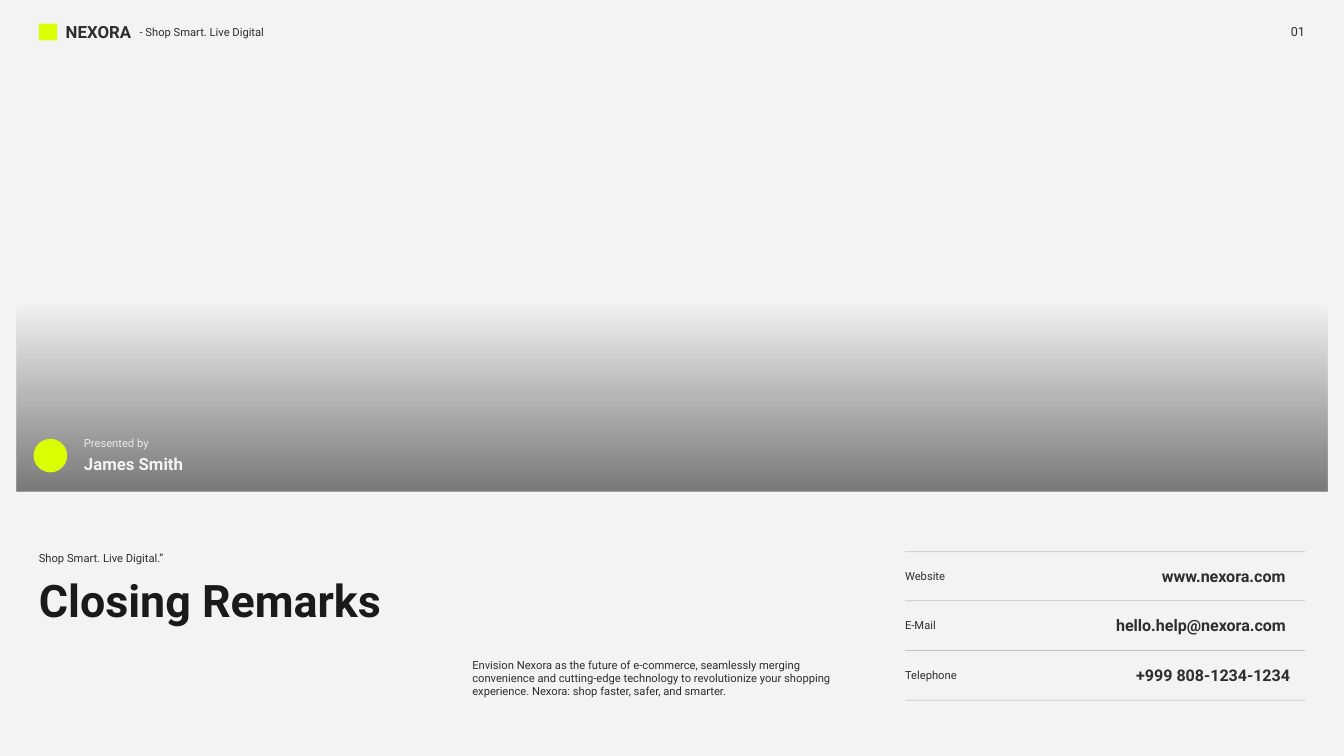
"""Build the closing slide with a presenter band and contact details."""
from lxml.etree import SubElement
from pptx import Presentation
from pptx.dml.color import RGBColor
from pptx.enum.shapes import MSO_CONNECTOR, MSO_SHAPE
from pptx.enum.text import MSO_AUTO_SIZE
from pptx.oxml import parse_xml
from pptx.oxml.ns import nsdecls, qn
from pptx.util import Pt

PX = 9144
FONT = "Roboto"
INK, TITLE, PAPER, MUTED, LIME = "2E2E2E", "1A1A1A", "F3F3F3", "EAEAEA", "D9FF00"

HEADINGS = [
    ("Shop Smart. Live Digital.”", (48, 816, 217, 31), 12, INK, False),
    ("Closing Remarks", (48, 847, 559, 94), 48, TITLE, True),
    ("Presented by", (115, 645, 125, 31), 12, MUTED, False),
    ("James Smith", (115, 670, 171, 41), 18, PAPER, True),
    ("NEXORA", (88, 27, 125, 41), 18, INK, True),
    ("- Shop Smart. Live Digital", (198, 32, 216, 31), 12, INK, False),
    ("01", (1911, 31, 41, 34), 13.5, INK, False),
]
SUMMARY = "\n".join([
    "Envision Nexora as the future of e-commerce, seamlessly merging",
    "convenience and cutting-edge technology to revolutionize your shopping",
    "experience. Nexora: shop faster, safer, and smarter.",
])
CONTACTS = [
    ("Website", 86, "www.nexora.com", 1719, 234),
    ("E-Mail", 70, "hello.help@nexora.com", 1651, 300),
    ("Telephone", 103, "+999 808-1234-1234", 1681, 268),
]
RULE_LEFT, RULE_RIGHT, RULE_TOP, RULE_SPAN = 1347, 1942, 821, 221
SHADE_STOPS = [(0, 50), (50, 25), (100, 0)]


def emu(*lengths):
    return [length * PX for length in lengths]


def color(value):
    return RGBColor.from_string(value)


def add_text(slide, text, box, size, ink, bold=False, wrap=False):
    frame = slide.shapes.add_textbox(*emu(*box)).text_frame
    frame.text = text
    frame.word_wrap = wrap
    frame.auto_size = MSO_AUTO_SIZE.SHAPE_TO_FIT_TEXT
    for paragraph in frame.paragraphs:
        for run in paragraph.runs:
            run.font.name = FONT
            run.font.size = Pt(size)
            run.font.bold = bold
            run.font.color.rgb = color(ink)


def add_block(slide, preset, box, fill):
    block = slide.shapes.add_shape(preset, *emu(*box))
    block.shadow.inherit = False
    block.line.fill.background()
    block.fill.solid()
    block.fill.fore_color.rgb = color(fill)
    return block


def shade(block):
    stops = "".join(
        f'<a:gs pos="{place * 1000}"><a:srgbClr val="000000">'
        f'<a:alpha val="{alpha * 1000}"/></a:srgbClr></a:gs>'
        for place, alpha in SHADE_STOPS)
    gradient = parse_xml(
        f'<a:gradFill {nsdecls("a")} rotWithShape="1"><a:gsLst>{stops}</a:gsLst>'
        '<a:lin ang="16200000" scaled="0"/></a:gradFill>')
    properties = block.element.spPr
    properties.replace(properties.find(qn("a:solidFill")), gradient)


def add_rule(slide, top):
    rule = slide.shapes.add_connector(
        MSO_CONNECTOR.STRAIGHT, *emu(RULE_LEFT, top, RULE_RIGHT, top))
    rule.line.width = Pt(0.75)
    rule.line.color.rgb = color("000000")
    properties = rule.element.spPr
    SubElement(next(properties.iter(qn("a:srgbClr"))), qn("a:alpha"), val="20000")
    SubElement(properties, qn("a:effectLst"))


def main():
    deck = Presentation()
    deck.slide_width, deck.slide_height = emu(2000, 1125)
    slide = deck.slides.add_slide(deck.slide_layouts[6])
    slide.background.fill.solid()
    slide.background.fill.fore_color.rgb = color(PAPER)

    shade(add_block(slide, MSO_SHAPE.RECTANGLE, (25, 452, 1950, 279), "000000"))
    add_block(slide, MSO_SHAPE.OVAL, (50, 653, 50, 50), LIME)
    add_block(slide, MSO_SHAPE.RECTANGLE, (58, 35, 27, 25), LIME)

    for text, box, size, ink, bold in HEADINGS:
        add_text(slide, text, box, size, ink, bold)
    add_text(slide, SUMMARY, (693, 974, 642, 71), 12, INK, wrap=True)

    rule_tops = [RULE_TOP + RULE_SPAN * i // len(CONTACTS)
                 for i in range(len(CONTACTS) + 1)]
    for top in rule_tops:
        add_rule(slide, top)
    for top, (label, label_width, value, left, width) in zip(rule_tops, CONTACTS):
        add_text(slide, label, (RULE_LEFT - 10, top + 21, label_width, 31), 12, INK)
        add_text(slide, value, (left, top + 17, width, 40), 17.2, INK, True)

    deck.save("out.pptx")


if __name__ == "__main__":
    main()
